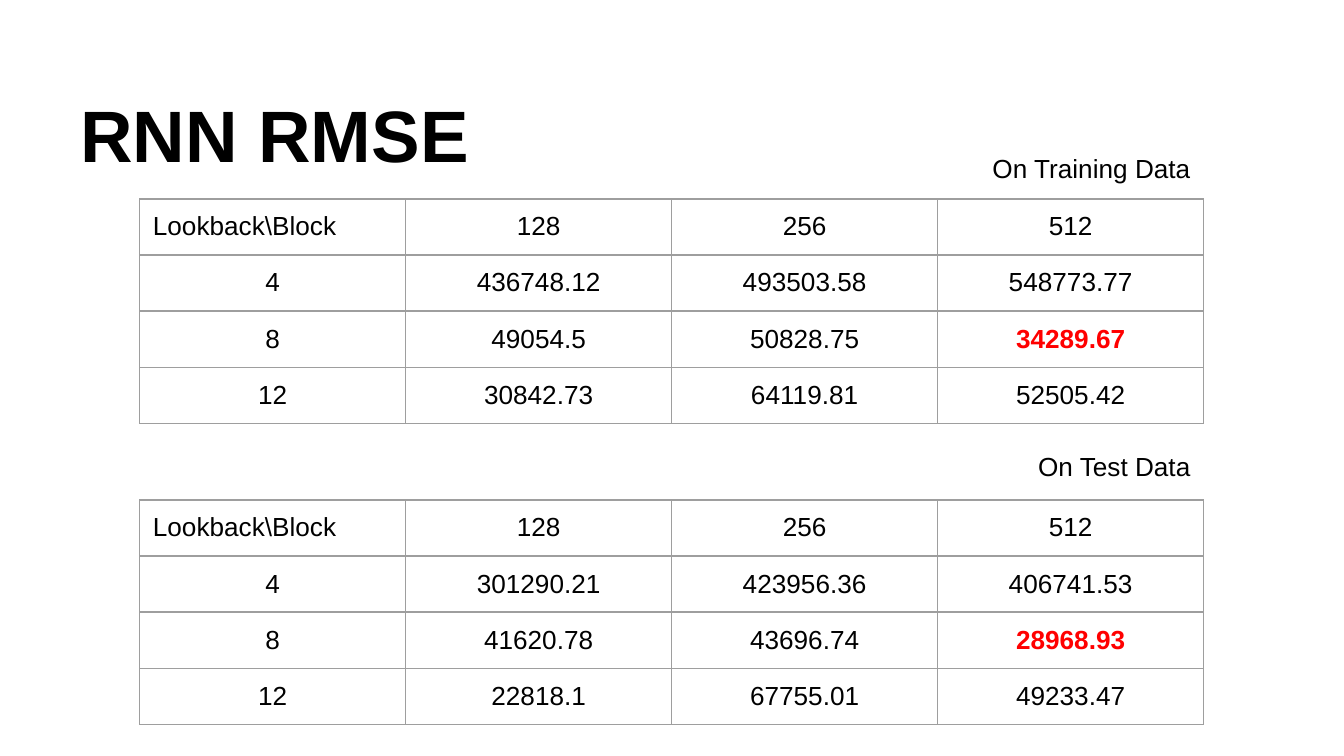
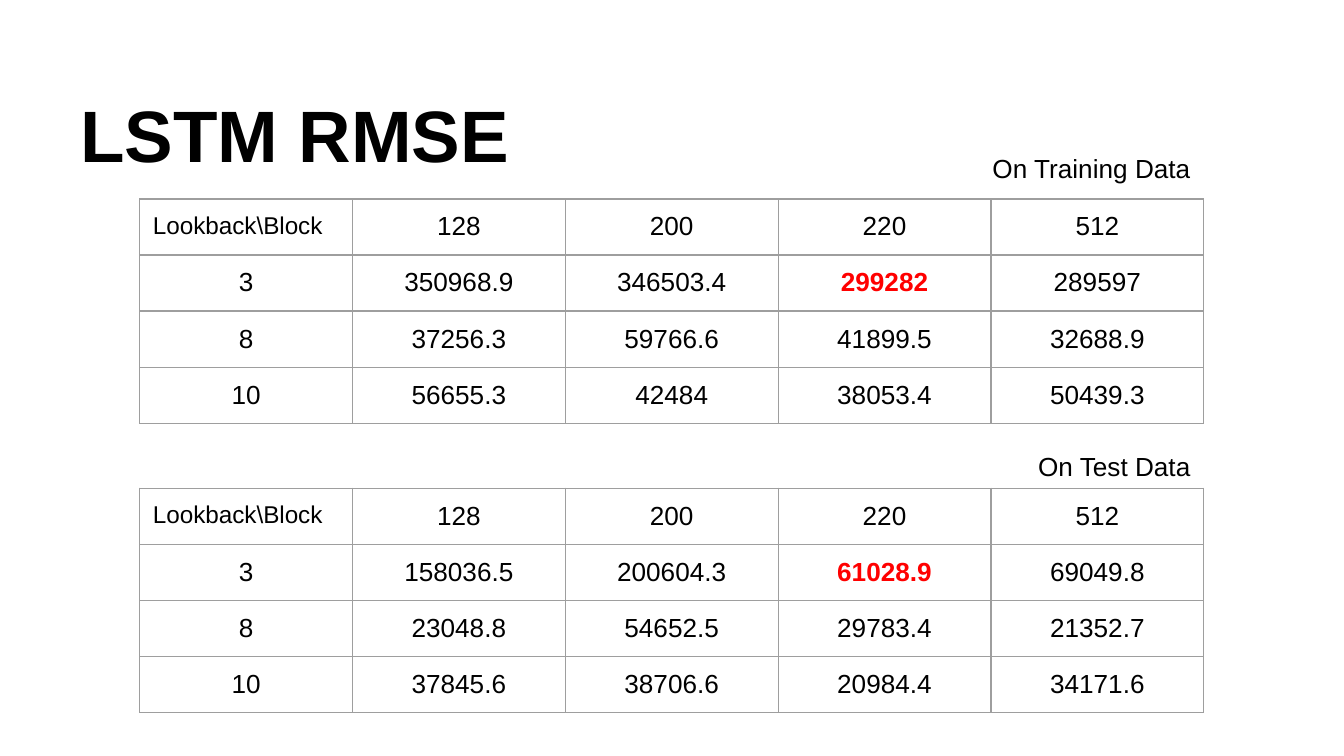
from lxml import etree
from pptx import Presentation
from pptx import util as u
from pptx.dml.color import RGBColor
from pptx.enum import text
from pptx.oxml import ns

# Content: "best" is the (row, column) of the highlighted result
CORNER = "Lookback\\Block"
SLIDES = [
    {
        "title": "RNN RMSE", "corner_size": 14, "best": (2, 3),
        "blocks": ["128", "256", "512"],
        "tables": [
            ("On Training Data", 3.76, [
                ["4", "436748.12", "493503.58", "548773.77"],
                ["8", "49054.5", "50828.75", "34289.67"],
                ["12", "30842.73", "64119.81", "52505.42"],
            ]),
            ("On Test Data", 9.45, [
                ["4", "301290.21", "423956.36", "406741.53"],
                ["8", "41620.78", "43696.74", "28968.93"],
                ["12", "22818.1", "67755.01", "49233.47"],
            ]),
        ],
    },
    {
        "title": "LSTM RMSE", "corner_size": 13, "best": (1, 3),
        "blocks": ["128", "200", "220", "512"],
        "tables": [
            ("On Training Data", 3.76, [
                ["3", "350968.9", "346503.4", "299282", "289597"],
                ["8", "37256.3", "59766.6", "41899.5", "32688.9"],
                ["10", "56655.3", "42484", "38053.4", "50439.3"],
            ]),
            ("On Test Data", 9.23, [
                ["3", "158036.5", "200604.3", "61028.9", "69049.8"],
                ["8", "23048.8", "54652.5", "29783.4", "21352.7"],
                ["10", "37845.6", "38706.6", "20984.4", "34171.6"],
            ]),
        ],
    },
]

# Shared style
COLORS = {"text": "000000", "best": "FF0000", "grid": "9E9E9E", "page": "FFFFFF"}
FONT = "Arial"
BODY_SIZE, TITLE_SIZE = 14, 39
INSET = u.Cm(0.25)
TABLE_LEFT, TABLE_WIDTH, ROW_HEIGHT = 2.64, 20.11, 1.06
CAPTION_TOPS = (2.64, 8.26)
LEFT, CENTER, RIGHT = text.PP_ALIGN.LEFT, text.PP_ALIGN.CENTER, text.PP_ALIGN.RIGHT


def write(frame, words, size, align=LEFT, color="text", bold=False):
    frame.text = words
    paragraph = frame.paragraphs[0]
    paragraph.alignment = align
    font = paragraph.runs[0].font
    font.name, font.size, font.bold = FONT, u.Pt(size), bold
    font.color.rgb = RGBColor.from_string(COLORS[color])


def set_borders(cell):
    properties = cell._tc.get_or_add_tcPr()
    for side in ("lnL", "lnR", "lnT", "lnB"):
        line = etree.SubElement(properties, ns.qn("a:" + side), w=str(u.Pt(0.75)))
        fill = etree.SubElement(line, ns.qn("a:solidFill"))
        etree.SubElement(fill, ns.qn("a:srgbClr"), val=COLORS["grid"])


def add_title(slide, words):
    title = slide.shapes.title
    title.left, title.top = u.Cm(1.27), u.Cm(1.42)
    title.width, title.height = u.Cm(22.86), u.Cm(1.57)
    frame = title.text_frame
    frame.auto_size = text.MSO_AUTO_SIZE.NONE
    frame.vertical_anchor = text.MSO_ANCHOR.TOP
    frame.margin_left = frame.margin_right = INSET
    frame.margin_top, frame.margin_bottom = u.Cm(0.28), u.Cm(0.13)
    write(frame, words, TITLE_SIZE, bold=True)


def add_caption(slide, words, top):
    box = slide.shapes.add_textbox(u.Cm(18.03), u.Cm(top), u.Cm(4.72), u.Cm(1.12))
    frame = box.text_frame
    frame.word_wrap = True
    frame.auto_size = text.MSO_AUTO_SIZE.SHAPE_TO_FIT_TEXT
    frame.margin_left = frame.margin_right = INSET
    frame.margin_top = frame.margin_bottom = INSET
    write(frame, words, BODY_SIZE, RIGHT)


def add_results(slide, rows, top, best, corner_size):
    table = slide.shapes.add_table(
        len(rows), len(rows[0]), u.Cm(TABLE_LEFT), u.Cm(top),
        u.Cm(TABLE_WIDTH), u.Cm(ROW_HEIGHT * len(rows))).table
    table.first_row = table.horz_banding = False
    for r, row in enumerate(rows):
        for c, value in enumerate(row):
            cell = table.cell(r, c)
            cell.margin_left = cell.margin_right = INSET
            cell.margin_top = cell.margin_bottom = INSET
            set_borders(cell)
            cell.fill.background()
            is_corner, is_best = (r, c) == (0, 0), (r, c) == best
            write(cell.text_frame, value,
                  corner_size if is_corner else BODY_SIZE,
                  LEFT if is_corner else CENTER,
                  "best" if is_best else "text", is_best)


def main():
    presentation = Presentation()
    presentation.slide_width, presentation.slide_height = u.Cm(25.4), u.Cm(14.29)
    background = presentation.slide_master.background.fill
    background.solid()
    background.fore_color.rgb = RGBColor.from_string(COLORS["page"])

    for content in SLIDES:
        slide = presentation.slides.add_slide(presentation.slide_layouts[5])
        add_title(slide, content["title"])
        header = [CORNER] + content["blocks"]
        for _, top, rows in content["tables"]:
            add_results(slide, [header] + rows, top,
                        content["best"], content["corner_size"])
        for (caption, _, _), top in zip(content["tables"], CAPTION_TOPS):
            add_caption(slide, caption, top)

    presentation.save("out.pptx")


if __name__ == "__main__":
    main()
